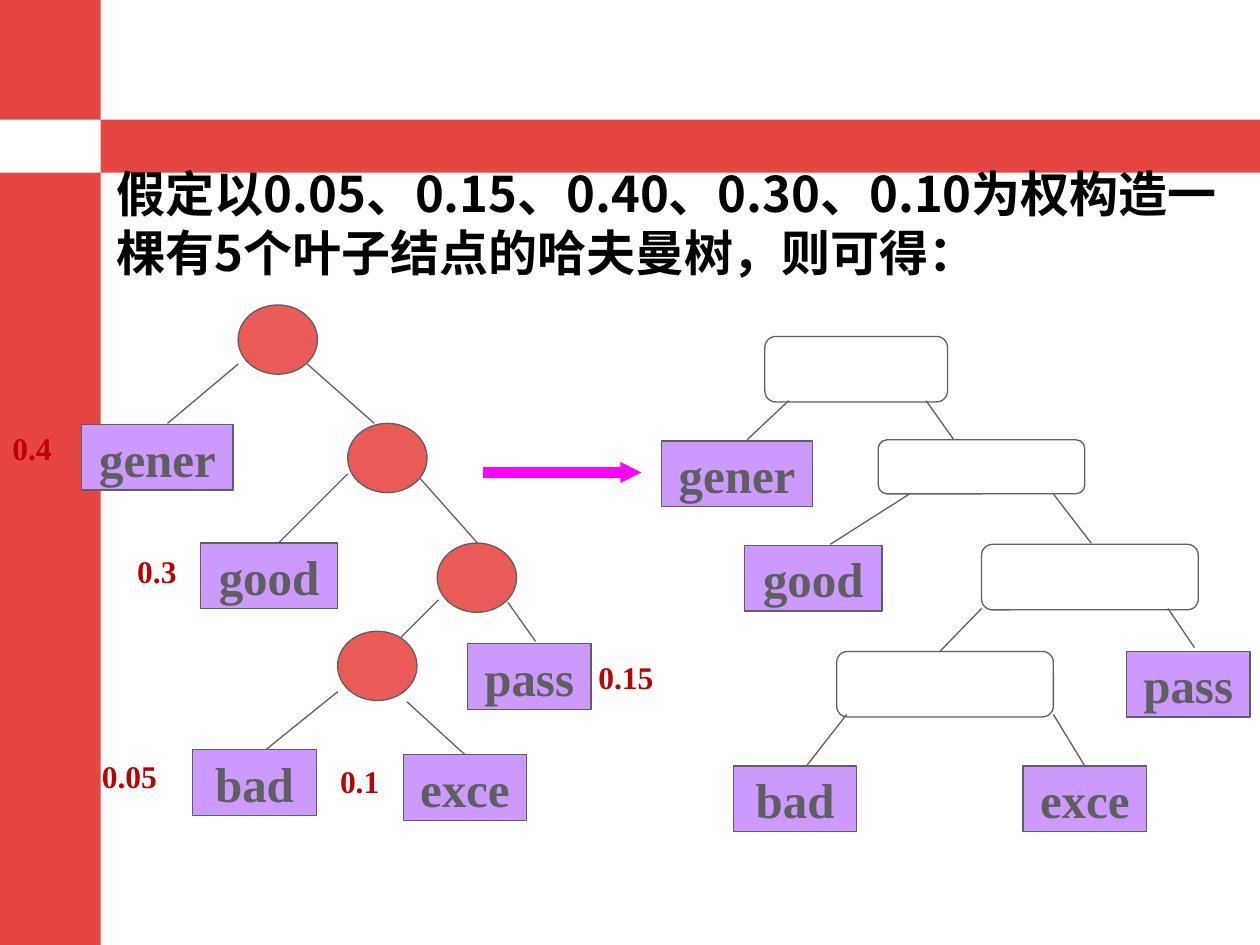
from lxml import etree
from pptx import Presentation
from pptx import util as u
from pptx.dml.color import RGBColor
from pptx.enum import shapes, text
from pptx.oxml import ns

COLUMNS, ROWS = 100, 75
RED, NODE_RED, LABEL_RED = "E74541", "EA5B58", "C00000"
PURPLE, GREY, MAGENTA = "CC99FF", "5F5F5F", "FF00FF"
SERIF, SANS = "Times New Roman", "Noto Sans CJK SC"
KIND = shapes.MSO_SHAPE

deck = Presentation()
deck.slide_width, deck.slide_height = u.Inches(10), u.Inches(7.5)


def color(value):
    return RGBColor.from_string(value)


def across(columns):
    return round(deck.slide_width * columns / COLUMNS)


def down(rows):
    return round(deck.slide_height * rows / ROWS)


def place(box, part):
    left, top, width, height = part
    return (across(box[0] + left), down(box[1] + top),
            across(width), down(height))


def add_child(parent, tag, **attributes):
    return etree.SubElement(parent, ns.qn(tag), attributes)


def add_block(parent, kind, box, part, fill=None, line=None):
    block = parent.add_shape(kind, *place(box, part))
    block.shadow.inherit = False
    if fill:
        block.fill.solid()
        block.fill.fore_color.rgb = color(fill)
    else:
        block.fill.background()
    if line:
        block.line.color.rgb = color(line)
        block.line.width = u.Pt(0.75)
    else:
        block.line.fill.background()
    return block


def add_line(parent, box, ends, line=GREY, width=0.75):
    x1, y1, x2, y2 = ends
    link = parent.add_connector(
        shapes.MSO_CONNECTOR.STRAIGHT,
        across(box[0] + x1), down(box[1] + y1),
        across(box[0] + x2), down(box[1] + y2))
    link.line.color.rgb = color(line)
    link.line.width = u.Pt(width)
    add_child(link._element.spPr, "a:effectLst")
    return link


def write(shape, words, size, font, ink):
    shape.text_frame.text = words
    para = shape.text_frame.paragraphs[0]
    for span in para.runs:
        span.font.size = u.Pt(size)
        span.font.bold = True
        span.font.name = font
        span.font.color.rgb = color(ink)
        add_child(span.font._element, "a:ea", typeface=font)
    return para


def add_text(parent, box, part, words, size, font, ink, before):
    label = parent.add_textbox(*place(box, part))
    label.text_frame.word_wrap = True
    para = write(label, words, size, font, ink)
    para.space_before = u.Pt(before)
    return para


def add_leaf(parent, box, words, part):
    leaf = add_block(parent, KIND.RECTANGLE, box, part, PURPLE, GREY)
    leaf.text_frame.word_wrap = False
    leaf.text_frame.vertical_anchor = text.MSO_ANCHOR.MIDDLE
    para = write(leaf, words, 28, SERIF, GREY)
    para.alignment = text.PP_ALIGN.CENTER


def draw_frame(page, box):
    width, height = box[2:]
    side, band_top, band = 8, 9.5, 4.2
    for part, fill in (((0, -0.3, side, height + 0.3), RED),
                       ((0, band_top, width, band), RED),
                       ((0, band_top, side, band), "FFFFFF")):
        add_block(page.shapes, KIND.RECTANGLE, box, part, fill)


def draw_heading(page, box):
    para = add_text(
        page.shapes, box, (0, 0, *box[2:]),
        "假定以0.05、0.15、0.40、0.30、0.10为权构造一棵有5个叶子结点的哈夫曼树，则可得：",
        28, SANS, "000000", 17.5)
    para.line_spacing = u.Pt(33.7)


def draw_tree(page, box, edges, leaves, nodes, kind, fill=None, weights=()):
    group = page.shapes.add_group_shape().shapes
    for ends in edges:
        add_line(group, box, ends)
    for words, part in leaves:
        add_leaf(group, box, words, part)
    for words, left, top in weights:
        add_text(group, box, (left, top, 11.8, 4), words,
                 18, SERIF, LABEL_RED, 11.2)
    for part in nodes:
        add_block(group, kind, box, part, fill, GREY)


def draw_weight_tree(page, box):
    edges = [(24.4, 4.7, 29.7, 9.4), (32.3, 12.6, 37.9, 18.9),
             (40.3, 23.6, 42.5, 26.7), (18.9, 4.7, 13.3, 9.4),
             (27.6, 13.4, 22.1, 18.9), (34.8, 23.4, 31.5, 26.7),
             (26.8, 30.7, 21.1, 35.3), (32.3, 31.5, 36.9, 35.7)]
    leaves = [("exce", (32, 35.7, 9.8, 5.2)), ("gener", (6.5, 9.5, 12, 5.2)),
              ("pass", (37.1, 26.9, 9.8, 5.2)), ("bad", (15.3, 35.3, 9.8, 5.2)),
              ("good", (15.9, 18.9, 10.9, 5.2))]
    weights = [("0.05", 7.1, 35.4), ("0.15", 46.5, 27.5), ("0.3", 9.9, 19.1),
               ("0.1", 26, 35.8), ("0.4", 0, 9.4)]
    nodes = [(left, top, 6.3, 5.5) for left, top in
             ((26.8, 25.9), (34.7, 18.9), (27.6, 9.4), (18.9, 0))]
    draw_tree(page, box, edges, leaves, nodes, KIND.OVAL, NODE_RED, weights)


def draw_decision_tree(page, box):
    edges = [(21, 5.1, 23.2, 8.2), (31.1, 12.5, 34.1, 16.4),
             (40.2, 21.6, 42.3, 24.7), (10.1, 5.1, 6.8, 8.2),
             (19.7, 12.5, 13.4, 16.5), (25.4, 21.6, 22.1, 25),
             (14.7, 30, 11.5, 34.1), (31.1, 30, 33.6, 34.1)]
    leaves = [("exce", (28.7, 34.1, 9.8, 5.2)), ("gener", (0, 8.3, 12, 5.2)),
              ("pass", (36.9, 25, 9.8, 5.2)), ("bad", (5.7, 34.1, 9.8, 5.2)),
              ("good", (6.6, 16.6, 10.9, 5.2))]
    nodes = [(8.2, 0, 14.5, 5.2), (17.2, 8.2, 16.4, 4.3),
             (25.4, 16.5, 17.2, 5.2), (13.9, 25, 17.2, 5.2)]
    draw_tree(page, box, edges, leaves, nodes, KIND.ROUNDED_RECTANGLE)


def draw_arrow(page, box):
    arrow = add_line(page.shapes, box, (0, 0, *box[2:]), MAGENTA, 6)
    add_child(arrow.line._get_or_add_ln(), "a:tailEnd",
              type="triangle", w="sm", len="sm")


def main():
    page = deck.slides.add_slide(deck.slide_layouts[6])
    draw_frame(page, (0, 0, COLUMNS, ROWS))
    draw_heading(page, (8.3, 12.5, 91.7, 10.4))
    draw_weight_tree(page, (0, 24.2, 58.3, 40.9))
    draw_decision_tree(page, (52.5, 26.7, 46.7, 39.3))
    draw_arrow(page, (38.3, 37.5, 12.6, 0))
    deck.save("out.pptx")


if __name__ == "__main__":
    main()
